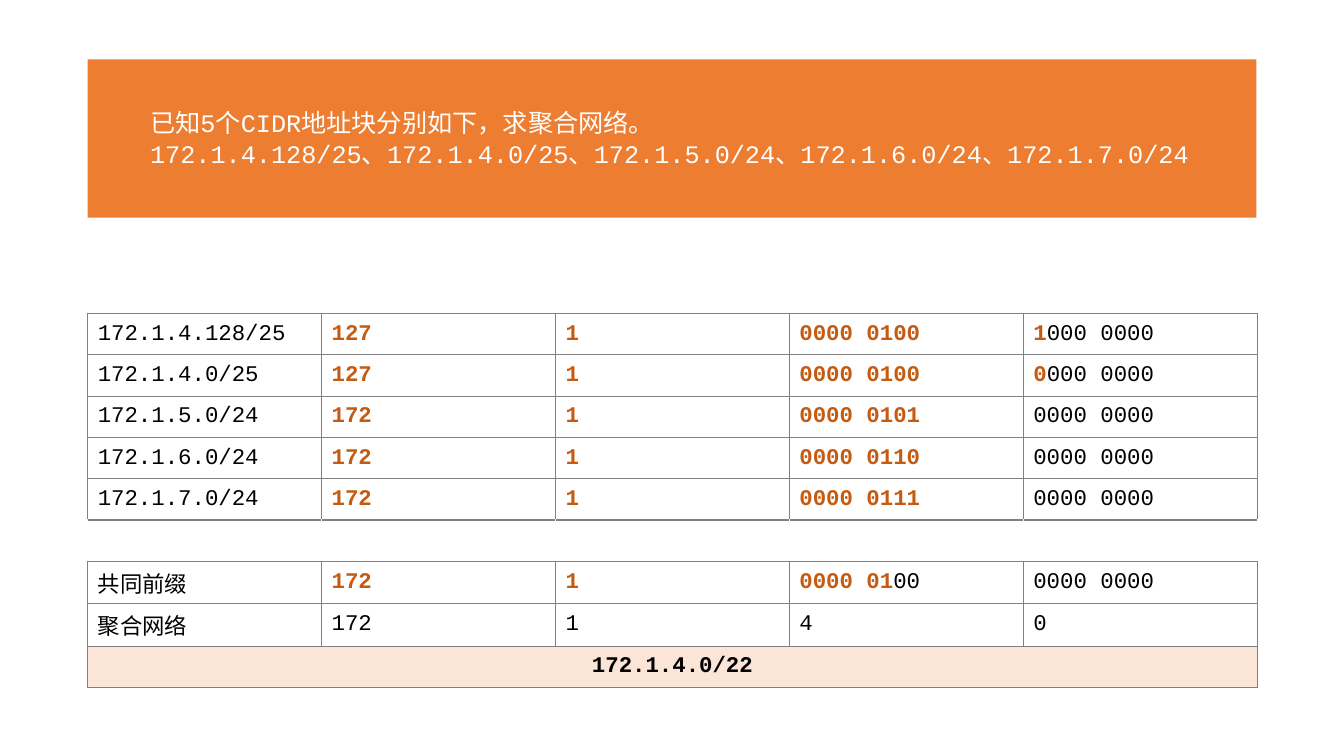
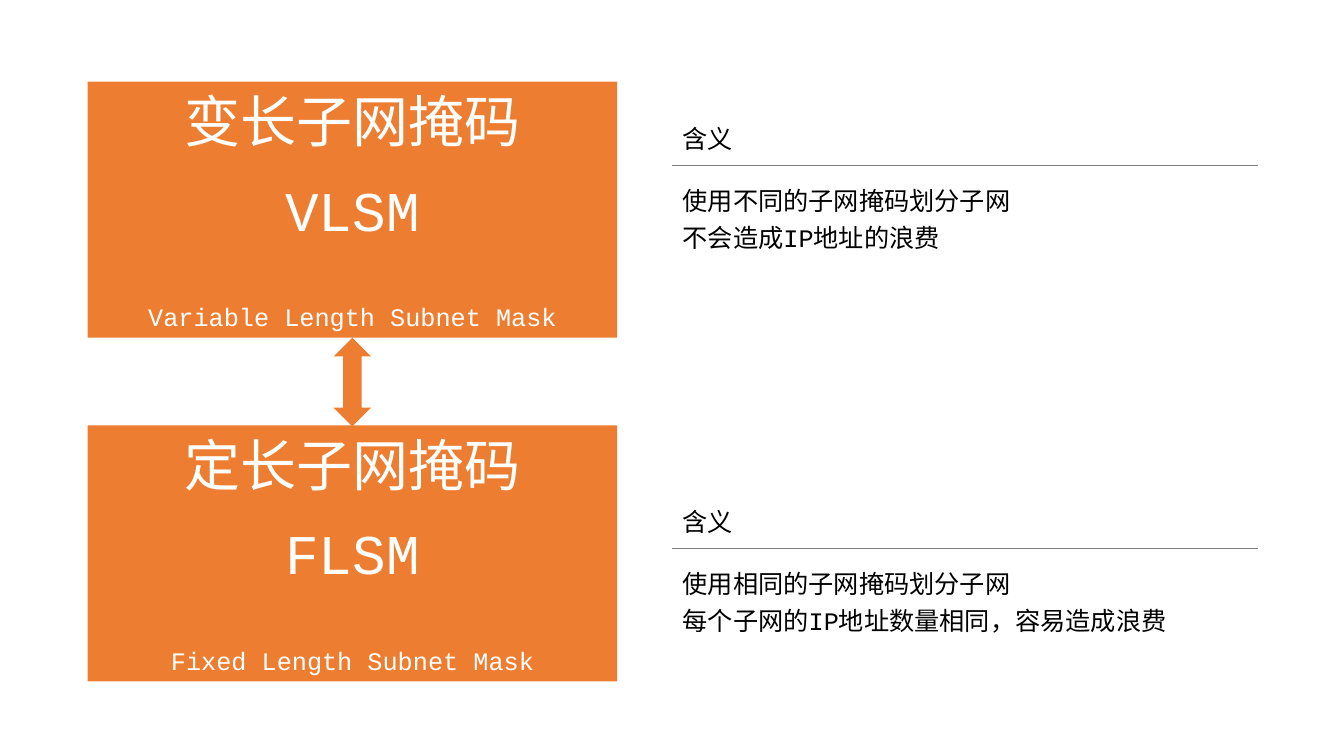
from lxml import etree
from pptx import Presentation
from pptx import util as u
from pptx.dml import color
from pptx.enum import shapes, text
from pptx.oxml import ns

COLORS = {
    "band": "ED7D31",
    "accent": "C55A11",
    "pale": "FBE5D6",
    "rule": "808080",
    "ink": "000000",
    "white": "FFFFFF",
}
LATIN, HAN = "Courier New", "Noto Sans CJK SC"
LEFT, CENTER = text.PP_ALIGN.LEFT, text.PP_ALIGN.CENTER


def rgb(name):
    return color.RGBColor.from_string(COLORS[name])


class Deck:
    def __init__(self):
        self.presentation = Presentation()
        self.presentation.slide_width = u.Inches(13.33)
        self.presentation.slide_height = u.Inches(7.5)
        self.slide = None

    def new_slide(self):
        layout = self.presentation.slide_layouts[6]
        self.slide = self.presentation.slides.add_slide(layout)

    def set_lines(self, frame, lines, size, ink, align=LEFT, bold=False):
        for index, line in enumerate(lines):
            paragraph = frame.paragraphs[0] if index == 0 else frame.add_paragraph()
            paragraph.alignment = align
            font = paragraph.font
            font.size, font.bold, font.name = u.Pt(size), bold, LATIN
            font.color.rgb = rgb(ink)
            defaults = paragraph._p.pPr.find(ns.qn("a:defRPr"))
            etree.SubElement(defaults, ns.qn("a:ea"), typeface=HAN)
            marked, _, plain = line.rpartition("|")
            if marked:
                run = paragraph.add_run()
                run.text = marked
                run.font.bold = True
                run.font.color.rgb = rgb("accent")
            if plain:
                paragraph.add_run().text = plain

    def block(self, left, top, width, height, kind=shapes.MSO_SHAPE.RECTANGLE):
        shape = self.slide.shapes.add_shape(
            kind, *map(u.Inches, (left, top, width, height)))
        shape.shadow.inherit = False
        shape.fill.solid()
        shape.fill.fore_color.rgb = rgb("band")
        shape.line.fill.background()

    def label(self, left, top, width, height, lines, size, align=LEFT):
        box = self.slide.shapes.add_textbox(
            *map(u.Inches, (left, top, width, height)))
        box.text_frame.word_wrap = True
        self.set_lines(box.text_frame, lines, size, "white", align)

    def table(self, left, top, column_width, columns, row_heights):
        frame = self.slide.shapes.add_table(
            len(row_heights), columns, u.Inches(left), u.Inches(top),
            u.Inches(column_width * columns), u.Inches(sum(row_heights)))
        table = frame.table
        table.first_row = table.horz_banding = False
        for column in table.columns:
            column.width = u.Inches(column_width)
        for row, height in zip(table.rows, row_heights):
            row.height = u.Inches(height)
        return table

    def cell(self, cell, lines, size, sides="", fill=None, **style):
        properties = cell._tc.get_or_add_tcPr()
        for side in sides:
            line = etree.SubElement(properties, ns.qn(f"a:ln{side}"), w=str(u.Pt(1)))
            solid = etree.SubElement(line, ns.qn("a:solidFill"))
            etree.SubElement(solid, ns.qn("a:srgbClr"), val=COLORS["rule"])
        if fill:
            cell.fill.solid()
            cell.fill.fore_color.rgb = rgb(fill)
        else:
            cell.fill.background()
        cell.vertical_anchor = text.MSO_ANCHOR.MIDDLE
        self.set_lines(cell.text_frame, lines, size, "ink", **style)


def aggregation_slide(deck):
    deck.new_slide()
    rows = [
        ["172.1.4.128/25", "127|", "1|", "0000 0100|", "1|000 0000"],
        ["172.1.4.0/25", "127|", "1|", "0000 0100|", "0|000 0000"],
        ["172.1.5.0/24", "172|", "1|", "0000 0101|", "0000 0000"],
        ["172.1.6.0/24", "172|", "1|", "0000 0110|", "0000 0000"],
        ["172.1.7.0/24", "172|", "1|", "0000 0111|", "0000 0000"],
        [""] * 5,
        ["共同前缀", "172|", "1|", "0000 01|00", "0000 0000"],
        ["聚合网络", "172", "1", "4", "0"],
    ]
    table = deck.table(0.87, 3.11, 2.32, 5, [0.41] * (len(rows) + 1))
    for row_index, row in enumerate(rows):
        sides = "LRTB" if any(row) else "TB"
        for column_index, value in enumerate(row):
            deck.cell(table.cell(row_index, column_index), [value], 16, sides)
    last = len(rows)
    table.cell(last, 0).merge(table.cell(last, 4))
    for column_index in range(5):
        value = "" if column_index else "172.1.4.0/22"
        deck.cell(table.cell(last, column_index), [value], 16, "LRTB", "pale",
                  align=CENTER, bold=True)
    deck.block(0.87, 0.59, 11.59, 1.57)
    deck.label(1.39, 1.02, 10.56, 1.02, [
        "已知5个CIDR地址块分别如下，求聚合网络。",
        "172.1.4.128/25、172.1.4.0/25、172.1.5.0/24、172.1.6.0/24、172.1.7.0/24",
    ], 18)


def mask_slide(deck):
    deck.new_slide()
    heading, body, gap = 0.55, 1.05, 0.55
    masks = [
        (0.81, "变长子网掩码", "VLSM", "Variable Length Subnet Mask",
         ["使用不同的子网掩码划分子网", "不会造成IP地址的浪费"]),
        (4.22, "定长子网掩码", "FLSM", "Fixed Length Subnet Mask",
         ["使用相同的子网掩码划分子网", "每个子网的IP地址数量相同，容易造成浪费"]),
    ]
    table = deck.table(6.67, 1.09, 5.8, 1,
                       [heading, body] + [gap] * 4 + [heading, body])
    for row_index in range(2, 6):
        deck.cell(table.cell(row_index, 0), [""], 18)
    for index, (top, name, short, full, meaning) in enumerate(masks):
        deck.block(0.87, top, 5.25, 2.54)
        for offset, height, line, size in [
                (0, 0.77, name, 40), (0.88, 0.77, short, 40), (2.13, 0.4, full, 18)]:
            deck.label(0.87, top + offset, 5.25, height, [line], size, CENTER)
        deck.cell(table.cell(index * 6, 0), ["含义"], 18, "B")
        detail = table.cell(index * 6 + 1, 0)
        detail.margin_top = detail.margin_bottom = u.Inches(0.16)
        deck.cell(detail, meaning, 18, "T")
    deck.block(3.31, 3.35, 0.37, 0.88, shapes.MSO_SHAPE.UP_DOWN_ARROW)


def main():
    deck = Deck()
    aggregation_slide(deck)
    mask_slide(deck)
    deck.presentation.save("out.pptx")


if __name__ == "__main__":
    main()
